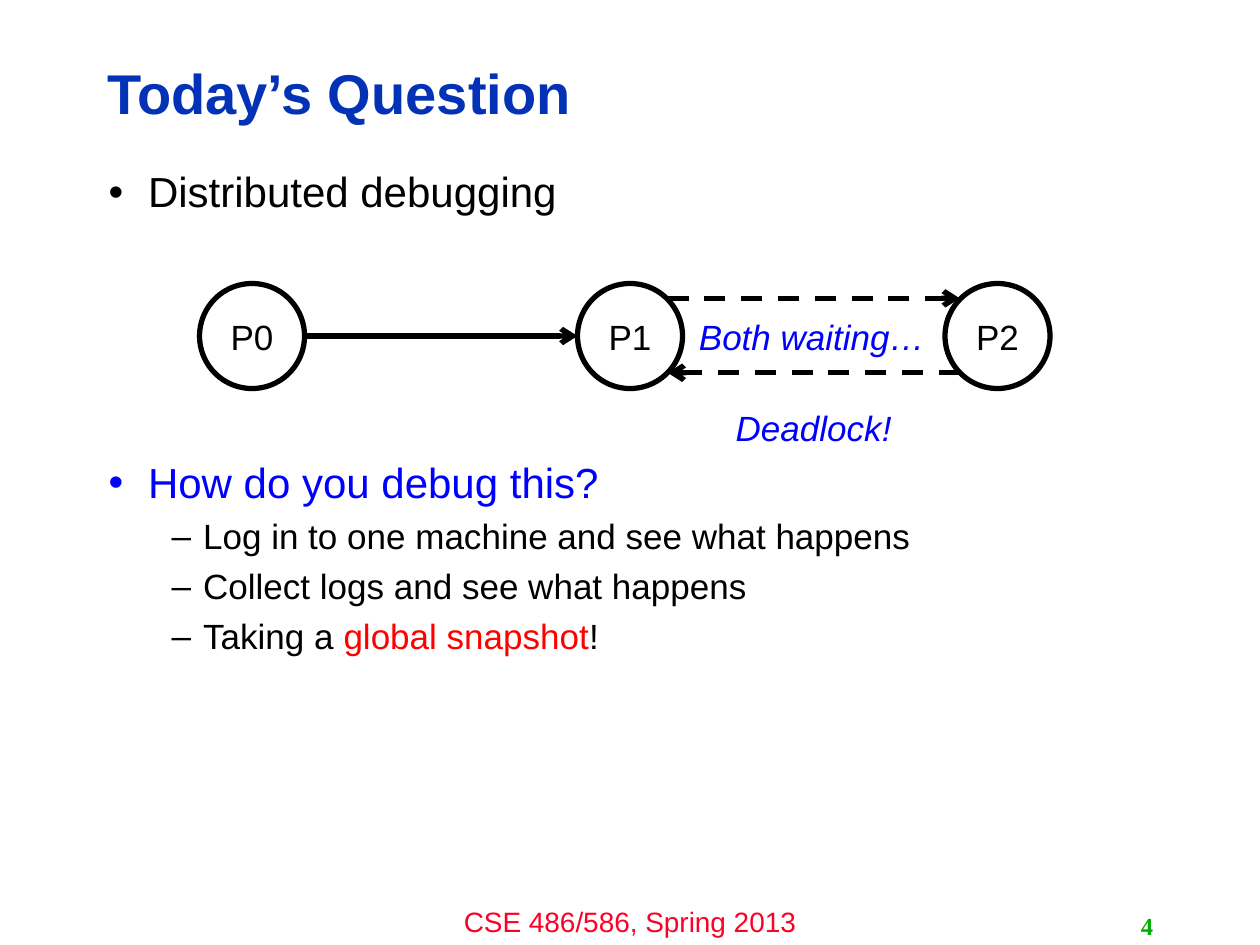
"""Build the "Today's Question" slide on distributed debugging."""
from lxml.etree import SubElement
from pptx import Presentation
from pptx.dml.color import RGBColor
from pptx.enum.dml import MSO_LINE
from pptx.enum.shapes import MSO_CONNECTOR, MSO_SHAPE
from pptx.enum.text import MSO_ANCHOR, PP_ALIGN
from pptx.oxml.ns import qn
from pptx.util import Pt


def rgb(value):
    return RGBColor.from_string(value)


def style(p, size, color, align=PP_ALIGN.LEFT, name="Arial", bold=False, italic=False):
    p.alignment = align
    for r in p.runs:
        r.font.size, r.font.name = Pt(size), name
        r.font.bold, r.font.italic = bold, italic
        r.font.color.rgb = rgb(color)


prs = Presentation()
prs.slide_width, prs.slide_height = Pt(720), Pt(540)
s = prs.slides.add_slide(prs.slide_layouts[5])

title = s.shapes.title
title.left, title.top, title.width, title.height = Pt(54), Pt(26), Pt(574.5), Pt(58)
title.text_frame.text = "Today’s Question"
title.text_frame.vertical_anchor = MSO_ANCHOR.MIDDLE
title.text_frame.paragraphs[0].line_spacing = 0.9
style(title.text_frame.paragraphs[0], 32, "0332B7", bold=True)

bullets = [
    (0, 0, "000000", ["Distributed debugging"]),
    (0, 140, "0000FF", ["How do you debug this?"]),
    (1, 7, "000000", ["Log in to one machine and see what happens"]),
    (1, 7, "000000", ["Collect logs and see what happens"]),
    (1, 7, "000000", ["Taking a ", "global snapshot", "!"]),
]
levels = [(24, "•", 22.5, -22.5), (20, "–", 54, -18)]
body = s.shapes.add_textbox(Pt(55), Pt(94.5), Pt(605), Pt(388))
tf = body.text_frame
tf.word_wrap = True
for i, (level, before, color, texts) in enumerate(bullets):
    size, mark, margin, indent = levels[level]
    p = tf.add_paragraph() if i else tf.paragraphs[0]
    p.level = level
    p.line_spacing, p.space_before = 0.9, Pt(before)
    for text in texts:
        p.add_run().text = text
    style(p, size, color)
    pPr = p._p.get_or_add_pPr()
    pPr.set("marL", str(Pt(margin)))
    pPr.set("indent", str(Pt(indent)))
    SubElement(pPr, qn("a:buFont"), typeface="Arial")
    SubElement(pPr, qn("a:buChar"), char=mark)
p.runs[1].font.color.rgb = rgb("FF0000")

for text, x in [("P0", 114), ("P1", 330), ("P2", 540)]:
    sp = s.shapes.add_shape(MSO_SHAPE.OVAL, Pt(x), Pt(162), Pt(60), Pt(60))
    sp.shadow.inherit = False
    sp.fill.solid()
    sp.fill.fore_color.rgb = rgb("FFFFFF")
    sp.line.color.rgb = rgb("000000")
    sp.line.width = Pt(3)
    tf = sp.text_frame
    tf.text = text
    tf.vertical_anchor = MSO_ANCHOR.MIDDLE
    style(tf.paragraphs[0], 20, "000000", PP_ALIGN.CENTER)

arrows = [
    (174, 330, 192, MSO_LINE.SOLID),
    (381.5, 548.5, 170.5, MSO_LINE.DASH),
    (548.5, 381.5, 213, MSO_LINE.DASH),
]
for x1, x2, y, dash in arrows:
    line = s.shapes.add_connector(MSO_CONNECTOR.STRAIGHT, Pt(x1), Pt(y), Pt(x2), Pt(y))
    line.line.color.rgb = rgb("000000")
    line.line.width = Pt(3)
    line.line.dash_style = dash
    SubElement(line.line._get_or_add_ln(), qn("a:tailEnd"), type="arrow")
    SubElement(line._element.spPr, qn("a:effectLst"))

blue = dict(size=20, color="0000FF", align=PP_ALIGN.CENTER, italic=True)
labels = [
    ("Deadlock!", 372, 228.5, 186, 31.5, blue),
    ("Both waiting…", 371, 176.5, 186, 31.5, blue),
    ("CSE 486/586, Spring 2013", 240, 513.5, 240, 26.5,
     dict(size=16, color="FC0128", align=PP_ALIGN.CENTER)),
    ("4", 516, 517, 150, 23,
     dict(size=14, color="00AE00", align=PP_ALIGN.RIGHT, name="Times New Roman", bold=True)),
]
for text, x, y, w, h, look in labels:
    tf = s.shapes.add_textbox(Pt(x), Pt(y), Pt(w), Pt(h)).text_frame
    tf.word_wrap = True
    tf.text = text
    style(tf.paragraphs[0], **look)

prs.save("out.pptx")
